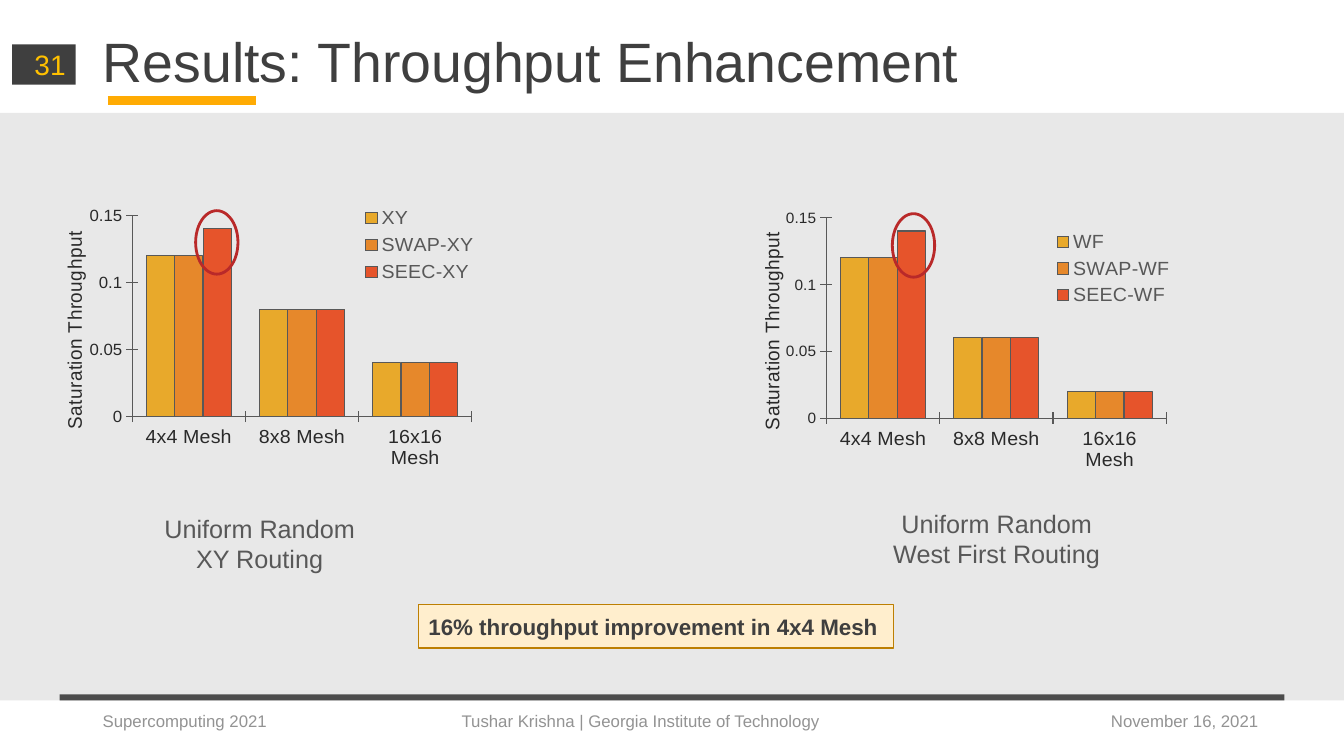
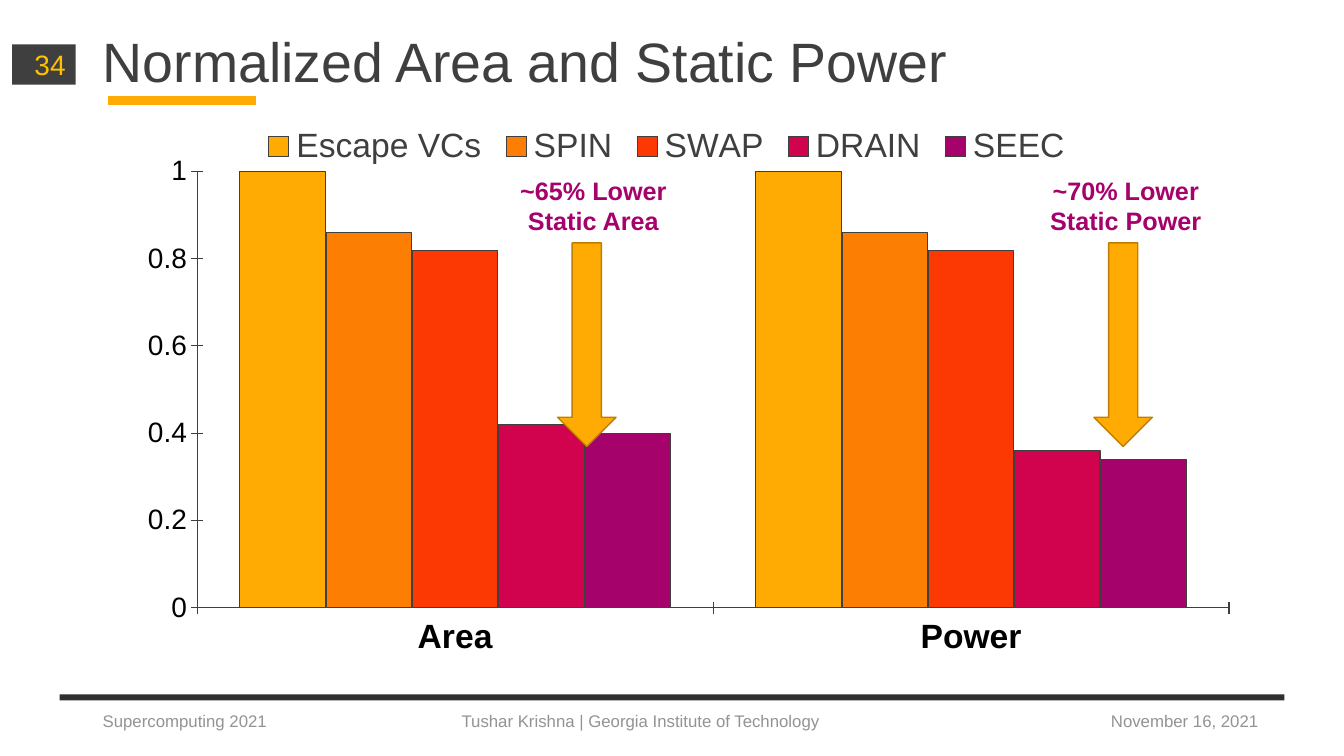
from lxml.etree import SubElement
from pptx import Presentation
from pptx.chart.data import CategoryChartData
from pptx.dml.color import RGBColor
from pptx.enum.chart import XL_CHART_TYPE, XL_LEGEND_POSITION, XL_TICK_MARK
from pptx.enum.shapes import MSO_CONNECTOR, MSO_SHAPE
from pptx.enum.text import MSO_ANCHOR, MSO_AUTO_SIZE, PP_ALIGN
from pptx.oxml.ns import qn
from pptx.util import Inches, Pt

FONT = "Arial"
DARK, BLACK, GRAY, RULE = "3F3F3F", "000000", "939393", "2F2F2F"
AMBER, AMBER_EDGE, CREAM = "FFAB03", "BD7F02", "FFEECD"
NUMBER_YELLOW, RING_RED, VEIL_GRAY = "FFC000", "C00000", "A6A6A6"
PURPLE = "A6026C"
SERIES_COLOURS = [AMBER, "FC7F03", "FC3903", "D1024E", PURPLE]
MESHES = ["4x4 Mesh", "8x8 Mesh", "16x16 Mesh"]


def rgb(colour):
    """Turn a hex string into a colour."""
    return RGBColor.from_string(colour)


def box(*lengths):
    """Turn left, top, width and height in inches into lengths."""
    return [Inches(length) for length in lengths]


def style_font(font, size, colour=DARK, bold=False):
    """Apply the deck font with a size, colour and weight."""
    font.name, font.size, font.bold = FONT, Pt(size), bold
    font.color.rgb = rgb(colour)


def write(frame, text, size, colour=DARK, bold=False,
          align=PP_ALIGN.LEFT, anchor=MSO_ANCHOR.MIDDLE, wrap=True):
    """Fill a text frame and format all its runs."""
    frame.text = text
    frame.word_wrap = wrap
    frame.vertical_anchor = anchor
    for paragraph in frame.paragraphs:
        paragraph.alignment = align
        for run in paragraph.runs:
            style_font(run.font, size, colour, bold)


def add_text(slide, place, text, size, colour=DARK, **style):
    """Add a text box and return its frame."""
    frame = slide.shapes.add_textbox(*box(*place)).text_frame
    write(frame, text, size, colour, **style)
    return frame


def add_box(slide, kind, place, fill=None, line=None, line_width=1):
    """Add a flat preset shape with optional fill and outline."""
    shape = slide.shapes.add_shape(kind, *box(*place))
    shape.shadow.inherit = False
    if fill:
        shape.fill.solid()
        shape.fill.fore_color.rgb = rgb(fill)
    else:
        shape.fill.background()
    if line:
        shape.line.color.rgb = rgb(line)
        shape.line.width = Pt(line_width)
    else:
        shape.line.fill.background()
    return shape


def define_layout(layout, slide):
    """Give the layout its title place, accent line and footer rule."""
    title = layout.placeholders[0]
    title.left, title.top, title.width, title.height = box(0.92, 0.28, 11.5, 0.72)
    accent = slide.shapes.add_connector(
        MSO_CONNECTOR.STRAIGHT, *box(1.07, 1, 2.54, 1))
    accent.line.color.rgb = rgb(AMBER)
    accent.line.width = Pt(6.25)
    SubElement(accent.element.spPr, qn("a:effectLst"))
    rule = add_box(slide, MSO_SHAPE.RECTANGLE, (0.59, 6.89, 12.15, 0.06), RULE)
    for part in (accent, rule):
        layout.shapes.element.append(part.element)


def add_frame(slide, title, number):
    """Write the title, slide number and footer."""
    frame = slide.shapes.title.text_frame
    write(frame, title, 39.6)
    frame.auto_size = MSO_AUTO_SIZE.NONE
    frame.paragraphs[0].line_spacing = 0.9
    badge = add_box(slide, MSO_SHAPE.RECTANGLE, (0.12, 0.44, 0.63, 0.4), DARK)
    write(badge.text_frame, number, 20, NUMBER_YELLOW, align=PP_ALIGN.RIGHT)
    footer = add_text(
        slide, (0.92, 6.95, 8.17, 0.4),
        "Supercomputing 2021\tTushar Krishna | Georgia Institute of Technology",
        12, GRAY)
    properties = footer.paragraphs[0]._p.get_or_add_pPr()
    tabs = SubElement(properties, qn("a:tabLst"))
    SubElement(tabs, qn("a:tab"), pos=str(Inches(3.56)), algn="l")
    add_text(slide, (10.92, 6.95, 2.28, 0.4), "November 16, 2021", 12, GRAY)


def place_part(chart, query, index, fractions):
    """Fix a chart part at fractions of the chart area."""
    part = chart.element.xpath(query)[0]
    for old in part.findall(qn("c:layout")):
        part.remove(old)
    layout = SubElement(part, qn("c:layout"))
    part.insert(index, layout)
    manual = SubElement(layout, qn("c:manualLayout"))
    if query.endswith("plotArea"):
        SubElement(manual, qn("c:layoutTarget"), val="inner")
    for mode in ("xMode", "yMode"):
        SubElement(manual, qn(f"c:{mode}"), val="edge")
    for side, fraction in zip("xywh", fractions):
        SubElement(manual, qn(f"c:{side}"), val=str(fraction))


def style_axis(axis, size, bold=False):
    """Give an axis crossing ticks, a thin line and black labels."""
    axis.has_major_gridlines = False
    axis.major_tick_mark = XL_TICK_MARK.CROSS
    axis.minor_tick_mark = XL_TICK_MARK.NONE
    axis.format.line.color.rgb = rgb(DARK)
    axis.format.line.width = Pt(0.75)
    style_font(axis.tick_labels.font, size, BLACK, bold)


def add_columns(slide, place, categories, series, top, step, sizes, plot,
                legend, legend_side=XL_LEGEND_POSITION.RIGHT, bold=False):
    """Add a column chart; sizes are category, value and legend text."""
    data = CategoryChartData()
    data.categories = categories
    for name, values in series.items():
        data.add_series(name, values)
    chart = slide.shapes.add_chart(
        XL_CHART_TYPE.COLUMN_CLUSTERED, *box(*place), data).chart
    style_font(chart.font, 10)
    chart.has_title = False
    category_size, value_size, legend_size = sizes
    style_axis(chart.category_axis, category_size, bold)
    style_axis(chart.value_axis, value_size)
    chart.value_axis.minimum_scale = 0
    chart.value_axis.maximum_scale = top
    chart.value_axis.major_unit = step
    columns = chart.plots[0]
    columns.gap_width, columns.overlap = 100, -1
    columns.vary_by_categories = False
    for column, colour in zip(columns.series, SERIES_COLOURS):
        column.format.fill.solid()
        column.format.fill.fore_color.rgb = rgb(colour)
        column.format.line.color.rgb = rgb(DARK)
        column.format.line.width = Pt(0.75)
    chart.has_legend = True
    chart.legend.position = legend_side
    chart.legend.include_in_layout = False
    style_font(chart.legend.font, legend_size)
    place_part(chart, ".//c:plotArea", 0, plot)
    place_part(chart, ".//c:legend", 1, legend)
    return chart


def add_throughput(slide, place, routing, values, value_size, plot, legend,
                   title_place):
    """Add a saturation throughput chart for one routing scheme."""
    names = [routing, f"SWAP-{routing}", f"SEEC-{routing}"]
    series = {name: [0.14 if name.startswith("SEEC") else 0.12, *values]
              for name in names}
    chart = add_columns(slide, place, MESHES, series, 0.15, 0.05,
                        (14, value_size, 14), plot, legend)
    frame = chart.value_axis.axis_title.text_frame
    frame.text = "Saturation Throughput"
    style_font(frame.paragraphs[0].runs[0].font, 14, BLACK)
    place_part(chart, ".//c:valAx/c:title", 1, title_place)


def build_throughput(slide):
    """Build the throughput slide."""
    add_frame(slide, "Results: Throughput Enhancement", "31")
    add_throughput(slide, (0.49, 1.9, 4.32, 2.75), "XY", [0.08, 0.04], 12,
                   (0.19, 0.09, 0.78, 0.75), (0.72, 0.04, 0.26, 0.32),
                   (0.02, 0.16))
    add_throughput(slide, (7.32, 1.86, 4.38, 2.81), "WF", [0.06, 0.02], 11,
                   (0.2, 0.11, 0.77, 0.73), (0.71, 0.14, 0.28, 0.31),
                   (0.04, 0.17))
    captions = [((1.49, 5.04, 2.17, 0.71), "XY Routing"),
                ((8.76, 4.99, 2.25, 0.71), "West First Routing")]
    for place, routing in captions:
        add_text(slide, place, f"Uniform Random\n{routing}", 18,
                 align=PP_ALIGN.CENTER, anchor=MSO_ANCHOR.TOP, wrap=False)
    for left, top in [(1.94, 2.09), (8.85, 2.12)]:
        add_box(slide, MSO_SHAPE.OVAL, (left, top, 0.42, 0.63),
                line=RING_RED, line_width=2)
    veil = add_box(slide, MSO_SHAPE.RECTANGLE, (0, 1.12, 13.33, 5.83), VEIL_GRAY)
    tint = veil.element.spPr.find(qn("a:solidFill"))[0]
    SubElement(tint, qn("a:alpha"), val="25000")
    takeaway = add_box(slide, MSO_SHAPE.RECTANGLE, (4.15, 6, 4.71, 0.43),
                       CREAM, AMBER_EDGE)
    write(takeaway.text_frame, "16% throughput improvement in 4x4 Mesh", 16,
          bold=True)


def build_area_power(slide):
    """Build the area and power slide."""
    add_frame(slide, "Normalized Area and Static Power", "34")
    series = {"Escape VCs": [1, 1], "SPIN": [0.86, 0.86], "SWAP": [0.82, 0.82],
              "DRAIN": [0.42, 0.36], "SEEC": [0.4, 0.34]}
    add_columns(slide, (0.92, 1.14, 11.5, 5.62), ["Area", "Power"], series,
                1, 0.2, (24, 20, 24), (0.09, 0.1, 0.89, 0.77),
                (0.14, 0.02, 0.71, 0.07), XL_LEGEND_POSITION.TOP, bold=True)
    savings = [(5.53, 4.91, "~65% Lower Static Area"),
               (10.85, 10.19, "~70% Lower Static Power")]
    for arrow_left, label_left, saving in savings:
        add_box(slide, MSO_SHAPE.DOWN_ARROW, (arrow_left, 2.41, 0.58, 2.02),
                AMBER, AMBER_EDGE)
        add_text(slide, (label_left, 1.69, 1.95, 0.71), saving, 18, PURPLE,
                 bold=True, align=PP_ALIGN.CENTER, anchor=MSO_ANCHOR.TOP)


def main():
    """Build and save the deck."""
    deck = Presentation()
    deck.slide_width, deck.slide_height = Inches(13.33), Inches(7.5)
    layout = deck.slide_layouts[5]
    throughput, area_power = [deck.slides.add_slide(layout) for _ in range(2)]
    define_layout(layout, throughput)
    build_throughput(throughput)
    build_area_power(area_power)
    deck.save("out.pptx")


if __name__ == "__main__":
    main()
